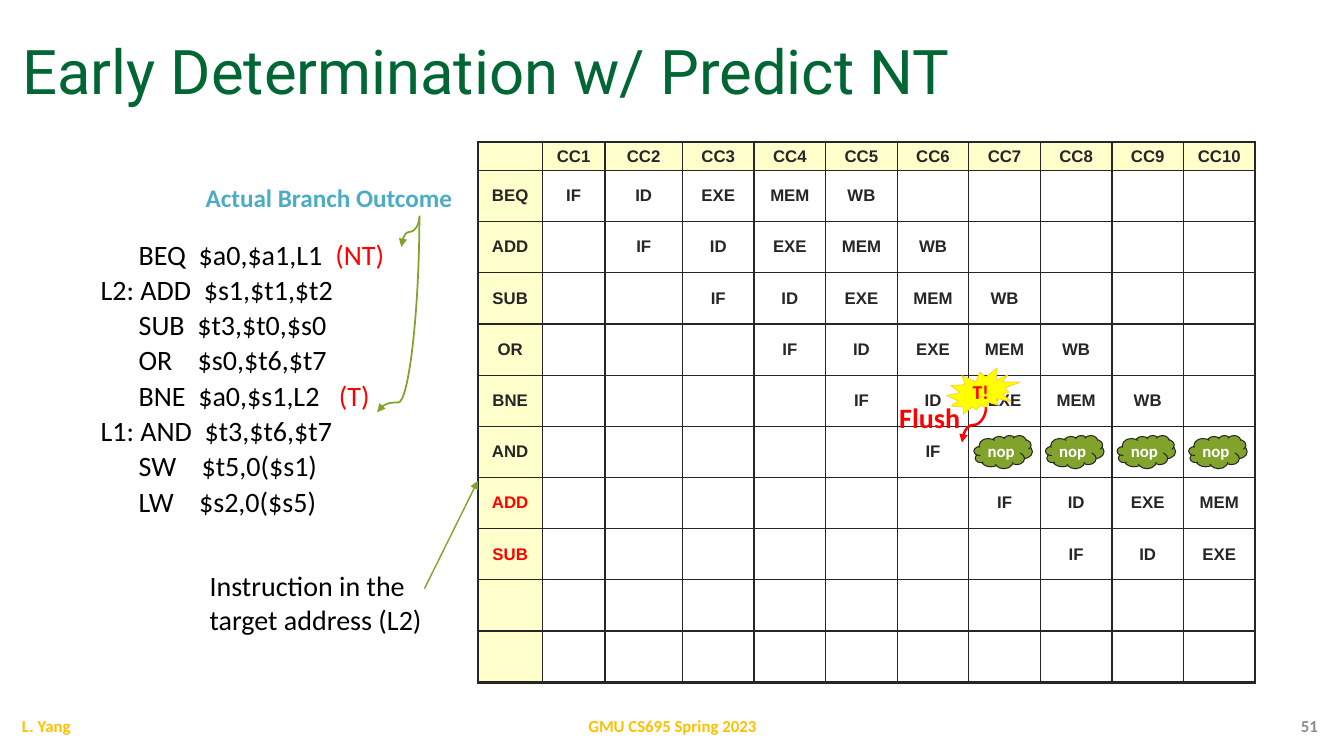
from dataclasses import dataclass

from lxml import etree
from pptx import Presentation
from pptx.dml.color import RGBColor
from pptx.enum.shapes import MSO_CONNECTOR, MSO_SHAPE
from pptx.enum.text import MSO_ANCHOR, MSO_AUTO_SIZE, PP_ALIGN
from pptx.oxml.ns import qn
from pptx.util import Inches, Pt

LEFT, CENTER, RIGHT = PP_ALIGN.LEFT, PP_ALIGN.CENTER, PP_ALIGN.RIGHT
TOP, MIDDLE, BOTTOM = MSO_ANCHOR.TOP, MSO_ANCHOR.MIDDLE, MSO_ANCHOR.BOTTOM
CLOUD, BURST = MSO_SHAPE.CLOUD, MSO_SHAPE.EXPLOSION2
STRAIGHT, CURVE = MSO_CONNECTOR.STRAIGHT, MSO_CONNECTOR.CURVE


@dataclass(frozen=True)
class Theme:
    title: str = "006633"
    ink: str = "000000"
    grid: str = "262626"
    head: str = "FFFFCC"
    white: str = "FFFFFF"
    red: str = "FF0000"
    green: str = "81A32B"
    blue: str = "4BACC6"
    yellow: str = "FFFF00"
    amber: str = "FFCC33"
    footer: str = "FFC000"
    grey: str = "8C8C8C"
    title_font: str = "Roboto"
    body_font: str = "Calibri"
    table_font: str = "Arial"
    title_size: float = 44
    body_size: float = 20
    label_size: float = 18
    burst_size: float = 14
    small_size: float = 12


T = Theme()


@dataclass(frozen=True)
class Label:
    box: tuple[float, float, float, float]
    lines: tuple[str, ...]
    size: float
    color: str
    bold: bool = True
    align: PP_ALIGN = LEFT
    anchor: MSO_ANCHOR = TOP
    wrap: bool = False


@dataclass(frozen=True)
class Callout:
    kind: MSO_SHAPE
    box: tuple[float, float, float, float]
    text: str
    fill: str
    line: str
    width: float
    size: float
    color: str


@dataclass(frozen=True)
class Arrow:
    start: tuple[float, float]
    end: tuple[float, float]
    color: str
    width: float
    curved: bool = True
    bend: float = 0.5


STAGES = ("IF", "ID", "EXE", "MEM", "WB")
INSTRUCTIONS = ("BEQ", "ADD", "SUB", "OR", "BNE", "AND", "ADD", "SUB")
FLUSHED, FIRST_TARGET, CYCLES, ROWS = 5, 6, 10, 11
TABLE_BOX = (4.74, 1.41, 7.71, 5.36)
COL_WIDTHS = (0.64, 0.62, 0.77) + (0.71,) * 8
HEAD_HEIGHT = 0.28

CODE = (
    ("      BEQ  $a0,$a1,L1  ", "(NT)"),
    ("L2: ADD  $s1,$t1,$t2", ""),
    ("      SUB  $t3,$t0,$s0", ""),
    ("      OR    $s0,$t6,$t7", ""),
    ("      BNE  $a0,$s1,L2   ", "(T)"),
    ("L1: AND  $t3,$t6,$t7", ""),
    ("      SW    $t5,0($s1)", ""),
    ("      LW    $s2,0($s5)", ""),
)
OUTCOME = Label((1.94, 1.76, 2.67, 0.4), ("Actual Branch Outcome",), T.label_size, T.blue)
TARGET = Label((1.98, 5.59, 2.41, 0.8), ("Instruction in the", "target address (L2)"),
               T.body_size, T.ink, bold=False)
FLUSH = Label((8.82, 3.92, 0.82, 0.45), ("Flush",), T.body_size, T.red)
FOOTERS = tuple(
    Label((x, 7, w, 0.4), (text,), T.small_size, color, True, align, MIDDLE, True)
    for x, w, text, color, align in (
        (0.12, 3, "L. Yang", T.footer, LEFT),
        (4.42, 4.5, "GMU CS695 Spring 2023", T.footer, CENTER),
        (10.17, 3, "51", T.grey, RIGHT),
    )
)
NOPS = tuple(
    Callout(CLOUD, (9.66 + 0.71 * i, 4.32, 0.58, 0.33), "nop",
            T.green, T.grid, 0.75, T.small_size, T.white)
    for i in range(4)
)
TAKEN = Callout(BURST, (9.39, 3.65, 0.73, 0.46), "T!",
                T.yellow, T.amber, 0.5, T.burst_size, T.red)
ARROWS = (
    Arrow((4.16, 2.15), (3.98, 2.45), T.green, 1.25),
    Arrow((4.16, 2.14), (3.74, 4.09), T.green, 1.25, bend=0.95),
    Arrow((4.21, 5.84), (4.74, 4.77), T.green, 1, curved=False),
)
FLUSH_ARROW = Arrow((9.78, 4.04), (9.54, 4.39), T.red, 1.75)


def rgb(color: str) -> RGBColor:
    return RGBColor.from_string(color)


def apply(target, **values) -> None:
    for name, value in values.items():
        setattr(target, name, value)


def add_run(p, text: str, size: float, color: str, bold: bool = False,
            font: str = T.body_font) -> None:
    r = p.add_run()
    r.text = text
    apply(r.font, size=Pt(size), bold=bold, name=font)
    r.font.color.rgb = rgb(color)


def add_title(s, text: str) -> None:
    sp = s.shapes.title
    apply(sp, left=Inches(0.12), top=Inches(0.17), width=Inches(13.05), height=Inches(0.95))
    apply(sp.text_frame, vertical_anchor=BOTTOM, word_wrap=True, auto_size=MSO_AUTO_SIZE.NONE)
    p = sp.text_frame.paragraphs[0]
    apply(p, alignment=LEFT, line_spacing=0.9)
    add_run(p, text, T.title_size, T.title, font=T.title_font)


def add_label(s, label: Label) -> None:
    tf = s.shapes.add_textbox(*map(Inches, label.box)).text_frame
    fit = MSO_AUTO_SIZE.NONE if label.wrap else MSO_AUTO_SIZE.SHAPE_TO_FIT_TEXT
    apply(tf, word_wrap=label.wrap, vertical_anchor=label.anchor, auto_size=fit)
    for i, line in enumerate(label.lines):
        p = tf.add_paragraph() if i else tf.paragraphs[0]
        p.alignment = label.align
        add_run(p, line, label.size, label.color, label.bold)


def add_code(s) -> None:
    tf = s.shapes.add_textbox(*map(Inches, (0.9, 2.34, 4.75, 1.75))).text_frame
    tf.word_wrap = True
    for i, (code, outcome) in enumerate(CODE):
        p = tf.add_paragraph() if i else tf.paragraphs[0]
        apply(p, line_spacing=0.9, space_before=Pt(3.6 if i else 0))
        add_run(p, code, T.body_size, T.ink)
        if outcome:
            add_run(p, outcome, T.body_size, T.red)


def add_callout(s, callout: Callout) -> None:
    sp = s.shapes.add_shape(callout.kind, *map(Inches, callout.box))
    sp.shadow.inherit = False
    sp.fill.solid()
    sp.fill.fore_color.rgb = rgb(callout.fill)
    sp.line.color.rgb = rgb(callout.line)
    sp.line.width = Pt(callout.width)
    apply(sp.text_frame, margin_left=0, margin_right=0, margin_top=0, margin_bottom=0,
          vertical_anchor=MIDDLE, word_wrap=True)
    p = sp.text_frame.paragraphs[0]
    p.alignment = CENTER
    add_run(p, callout.text, callout.size, callout.color, True)


def add_arrow(s, arrow: Arrow) -> None:
    (x1, y1), (x2, y2) = arrow.start, arrow.end
    if arrow.curved:
        cx, cy, w, h = (x1 + x2) / 2, (y1 + y2) / 2, y2 - y1, x1 - x2
        x1, y1, x2, y2 = cx - w / 2, cy - h / 2, cx + w / 2, cy + h / 2
    sp = s.shapes.add_connector(CURVE if arrow.curved else STRAIGHT,
                                *map(Inches, (x1, y1, x2, y2)))
    sp.line.color.rgb = rgb(arrow.color)
    sp.line.width = Pt(arrow.width)
    props = sp._element.spPr
    etree.SubElement(sp.line._get_or_add_ln(), qn("a:tailEnd"), type="triangle")
    etree.SubElement(props, qn("a:effectLst"))
    if arrow.curved:
        props.find(qn("a:xfrm")).set("rot", "5400000")
        guides = props.find(qn("a:prstGeom")).find(qn("a:avLst"))
        etree.SubElement(guides, qn("a:gd"), name="adj1", fmla=f"val {round(arrow.bend * 100000)}")


def format_cell(cell, text: str, color: str, fill: str, edges: dict[str, float]) -> None:
    props = cell._tc.get_or_add_tcPr()
    for side, width in edges.items():
        ln = etree.SubElement(props, qn(f"a:ln{side}"), w=str(Pt(width)))
        etree.SubElement(etree.SubElement(ln, qn("a:solidFill")), qn("a:srgbClr"), val=T.grid)
    cell.fill.solid()
    cell.fill.fore_color.rgb = rgb(fill)
    apply(cell, vertical_anchor=MIDDLE, margin_top=Inches(0.02), margin_bottom=Inches(0.02))
    p = cell.text_frame.paragraphs[0]
    p.alignment = CENTER
    if text:
        add_run(p, text, T.small_size, color, True, T.table_font)
    else:
        etree.SubElement(p._p, qn("a:endParaRPr"), sz=str(int(T.small_size * 100)))


def cell_text(row: int, col: int) -> str:
    if row == 0:
        return f"CC{col}" if col else ""
    if row > len(INSTRUCTIONS):
        return ""
    if col == 0:
        return INSTRUCTIONS[row - 1]
    stages = STAGES[:1] if row - 1 == FLUSHED else STAGES
    return stages[col - row] if 0 <= col - row < len(stages) else ""


def add_pipeline(s) -> None:
    table = s.shapes.add_table(ROWS, CYCLES + 1, *map(Inches, TABLE_BOX)).table
    apply(table, first_row=False, horz_banding=False)
    for col, width in zip(table.columns, COL_WIDTHS):
        col.width = Inches(width)
    for i, row in enumerate(table.rows):
        row.height = Inches((TABLE_BOX[3] - HEAD_HEIGHT) / (ROWS - 1) if i else HEAD_HEIGHT)
        for j, cell in enumerate(row.cells):
            edges = {"L": 1 if j else 2.25, "R": 1, "T": 1 if i else 2.25,
                     "B": 2.25 if i == ROWS - 1 else 1}
            color = T.red if j == 0 and i > FIRST_TARGET else T.grid
            fill = T.white if i and j else T.head
            format_cell(cell, cell_text(i, j), color, fill, edges)


def main() -> None:
    prs = Presentation()
    apply(prs, slide_width=Inches(13.33), slide_height=Inches(7.5))
    s = prs.slides.add_slide(prs.slide_layouts[5])
    add_title(s, "Early Determination w/ Predict NT")
    add_pipeline(s)
    add_code(s)
    for label in (OUTCOME, TARGET):
        add_label(s, label)
    for arrow in ARROWS:
        add_arrow(s, arrow)
    for callout in (*NOPS, TAKEN):
        add_callout(s, callout)
    add_arrow(s, FLUSH_ARROW)
    for label in (FLUSH, *FOOTERS):
        add_label(s, label)
    prs.save("out.pptx")


if __name__ == "__main__":
    main()
